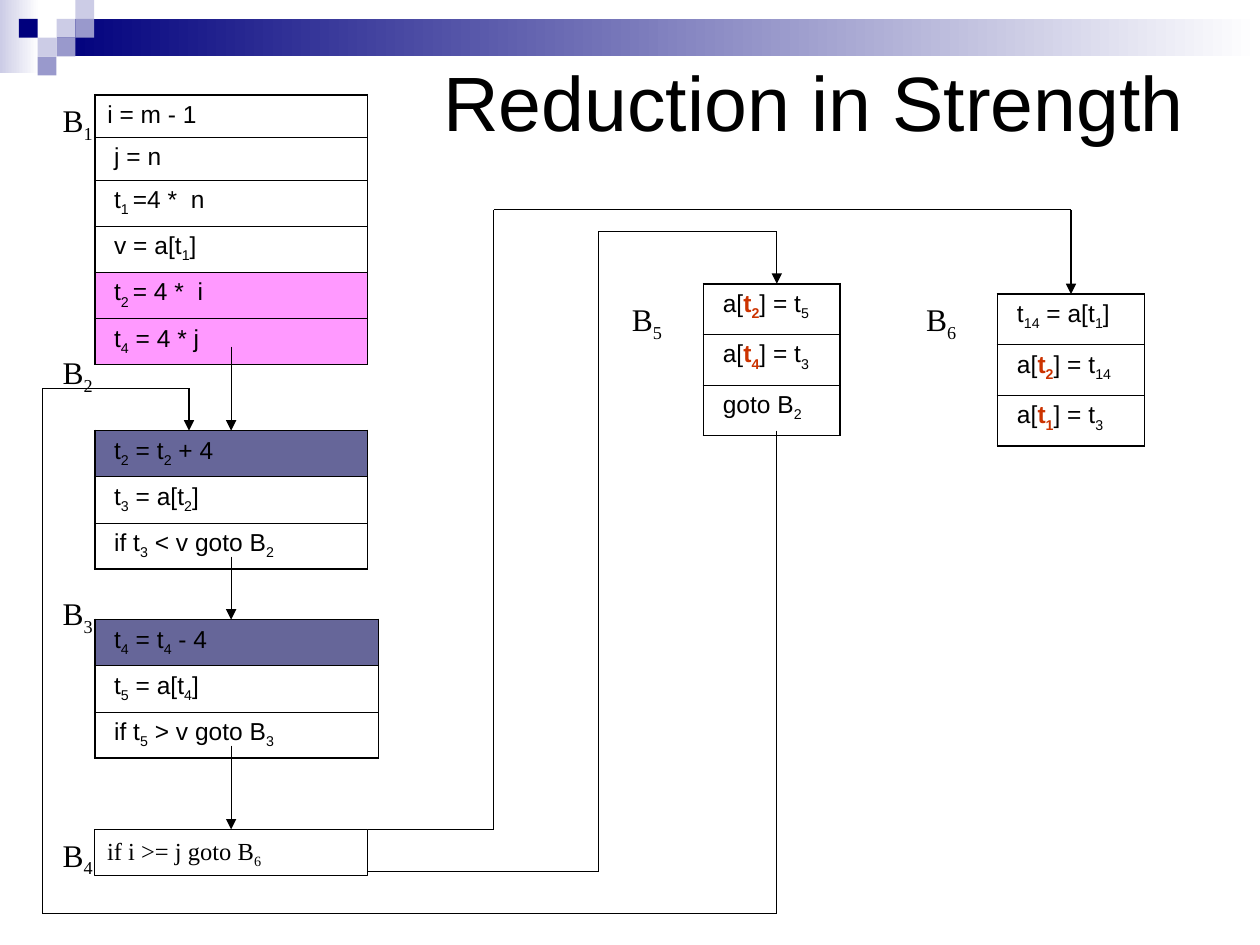
"""Build the "Reduction in Strength" flow graph slide."""
from itertools import pairwise

from lxml.etree import SubElement
from pptx import Presentation
from pptx.dml.color import RGBColor
from pptx.enum.shapes import MSO_CONNECTOR, MSO_SHAPE
from pptx.enum.text import MSO_ANCHOR, PP_ALIGN
from pptx.oxml.ns import qn
from pptx.util import Cm, Pt

THEME = {
    "black": "000000", "accent": "CC3300", "pink": "FF99FF", "slate": "666699",
    "navy": "00007D", "pale": "CCCCE6", "lilac": "9999CC", "white": "FFFFFF",
    "sans": "Arial", "serif": "Times New Roman",
    "title": 44, "label": 18, "code": 14,
    "outer": 1.08, "inner": 0.45, "line": 0.75, "spacing": 0.63,
}

SQUARE = 0.38
SQUARES = [
    (3, 1, "pale"), (4, 0, "pale"), (4, 1, "lilac"), (2, 2, "pale"),
    (1, 1, "navy"), (3, 2, "lilac"), (2, 3, "lilac"),
]
GRADIENTS = [((0, 0, 0.79, 1.47), "pale"), ((1.14, 0.38, 24.26, 0.76), "navy")]

TITLE = "Reduction in Strength"
TITLE_BOX = (8.46, 1.27, 15.67, 1.52)

# Between bars the text is a subscript; between tildes it is accented.
BLOCKS = [
    ((1.91, 1.91, 5.5), [
        ("i = m - 1", 0.86, None), (" j = n", 0.86, None),
        (" t|1 |=4 *  n", 0.93, None), (" v = a[t|1|]", 0.93, None),
        (" t|2 |= 4 *  i", 0.93, "pink"), (" t|4| = 4 * j", 0.93, "pink")]),
    ((1.91, 8.68, 5.5), [
        (" t|2| = t|2| + 4", 0.93, "slate"), (" t|3| = a[t|2|]", 0.93, None),
        (" if t|3| < v goto B|2|", 0.93, None)]),
    ((1.91, 12.49, 5.72), [
        (" t|4| = t|4| - 4", 0.93, "slate"), (" t|5| = a[t|4|]", 0.93, "white"),
        (" if t|5| > v goto B|3|", 0.93, None)]),
    ((14.18, 5.72, 2.75), [
        (" a[~t|2|~] = t|5|", 1.02, None), (" a[~t|4|~] = t|3|", 1.02, None),
        (" goto B|2|", 1.02, None)]),
    ((20.11, 5.93, 2.96), [
        (" t|14| = a[t|1|]", 1.02, None), (" a[~t|2|~] = t|14|", 1.02, None),
        (" a[~t|1|~] = t|3|", 1.02, None)]),
]
BRANCH = ("if i >= j goto B|6|", (1.91, 16.72, 5.5, 0.93))

LABEL_SIZE = (2.12, 1.12)
LABELS = [
    ("B|1|", 0, 1.91, PP_ALIGN.RIGHT), ("B|2|", 0, 6.99, PP_ALIGN.RIGHT),
    ("B|3|", 0, 11.85, PP_ALIGN.RIGHT), ("B|4|", 0, 16.72, PP_ALIGN.RIGHT),
    ("B|5|", 12.49, 5.93, PP_ALIGN.LEFT), ("B|6|", 18.42, 5.93, PP_ALIGN.LEFT),
]

ROUTES = [
    [(4.66, 6.99), (4.66, 8.68)],
    [(4.66, 11.22), (4.66, 12.49)],
    [(4.66, 15.03), (4.66, 16.72)],
    [(7.41, 16.72), (9.95, 16.72), (9.95, 4.23), (21.59, 4.23), (21.59, 5.93)],
    [(7.41, 17.57), (12.07, 17.57), (12.07, 4.66), (15.66, 4.66), (15.66, 5.72)],
    [(15.66, 8.68), (15.66, 18.42), (0.85, 18.42), (0.85, 7.83), (3.81, 7.83), (3.81, 8.68)],
]


def color(name):
    return RGBColor.from_string(THEME[name])


def lengths(values):
    return [Cm(value) for value in values]


def apply_format(target, values):
    for name, value in values.items():
        setattr(target, name, value)


def write_text(frame, text, size, face, alignment=PP_ALIGN.LEFT, spaced=True):
    apply_format(frame, {"word_wrap": True, "vertical_anchor": MSO_ANCHOR.TOP})
    paragraph = frame.paragraphs[0]
    before = Pt(THEME[size] * THEME["spacing"]) if spaced else Pt(0)
    apply_format(paragraph, {"alignment": alignment, "space_before": before})
    for part_index, part in enumerate(text.split("~")):
        accented = part_index % 2 == 1
        for piece_index, piece in enumerate(part.split("|")):
            if not piece:
                continue
            run = paragraph.add_run()
            run.text = piece
            apply_format(run.font, {"name": THEME[face], "size": Pt(THEME[size]), "bold": accented})
            run.font.color.rgb = color("accent" if accented else "black")
            if piece_index % 2:
                run.font._element.set("baseline", "-25000")


def add_rectangle(slide, box):
    shape = slide.shapes.add_shape(MSO_SHAPE.RECTANGLE, *lengths(box))
    shape.shadow.inherit = False
    shape.line.fill.background()
    return shape


def add_decoration(slide):
    for box, start in GRADIENTS:
        fill = add_rectangle(slide, box).fill
        fill.gradient()
        fill.gradient_angle = 0
        for stop, name in zip(fill.gradient_stops, (start, "white")):
            stop.color.rgb = color(name)
    for column, row, name in SQUARES:
        fill = add_rectangle(slide, (column * SQUARE, row * SQUARE, SQUARE, SQUARE)).fill
        fill.solid()
        fill.fore_color.rgb = color(name)


def add_borders(cell, first, last):
    sides = {"L": "outer", "R": "outer", "T": "outer" if first else "inner",
             "B": "outer" if last else "inner"}
    properties = cell._tc.get_or_add_tcPr()
    for side, weight in sides.items():
        border = SubElement(properties, qn(f"a:ln{side}"), w=str(Pt(THEME[weight])))
        SubElement(SubElement(border, qn("a:solidFill")), qn("a:srgbClr"), val=THEME["black"])


def add_block(slide, position, rows):
    height = sum(row[1] for row in rows)
    table = slide.shapes.add_table(len(rows), 1, *lengths((*position, height))).table
    apply_format(table, {"first_row": False, "horz_banding": False})
    for index, (text, row_height, fill_name) in enumerate(rows):
        table.rows[index].height = Cm(row_height)
        cell = table.cell(index, 0)
        write_text(cell.text_frame, text, "code", "sans")
        add_borders(cell, index == 0, index == len(rows) - 1)
        if fill_name:
            cell.fill.solid()
            cell.fill.fore_color.rgb = color(fill_name)
        else:
            cell.fill.background()


def add_branch(slide, text, box):
    shape = add_rectangle(slide, box)
    shape.fill.background()
    shape.line.color.rgb = color("black")
    shape.line.width = Pt(THEME["line"])
    write_text(shape.text_frame, text, "code", "serif")


def add_route(slide, points):
    for start, end in pairwise(points):
        connector = slide.shapes.add_connector(MSO_CONNECTOR.STRAIGHT, *lengths(start + end))
        connector.line.color.rgb = color("black")
        connector.line.width = Pt(THEME["line"])
        SubElement(connector._element.spPr, qn("a:effectLst"))
    SubElement(connector.line._get_or_add_ln(), qn("a:tailEnd"), type="triangle")


def main():
    presentation = Presentation()
    apply_format(presentation, {"slide_width": Cm(25.4), "slide_height": Cm(19.05)})
    slide = presentation.slides.add_slide(presentation.slide_layouts[6])
    add_decoration(slide)
    title = slide.shapes.add_textbox(*lengths(TITLE_BOX)).text_frame
    write_text(title, TITLE, "title", "sans", PP_ALIGN.RIGHT, spaced=False)
    title.vertical_anchor = MSO_ANCHOR.MIDDLE
    for position, rows in BLOCKS:
        add_block(slide, position, rows)
    add_branch(slide, *BRANCH)
    for text, left, top, alignment in LABELS:
        label = slide.shapes.add_textbox(*lengths((left, top, *LABEL_SIZE)))
        write_text(label.text_frame, text, "label", "serif", alignment)
    for points in ROUTES:
        add_route(slide, points)
    presentation.save("out.pptx")


if __name__ == "__main__":
    main()
